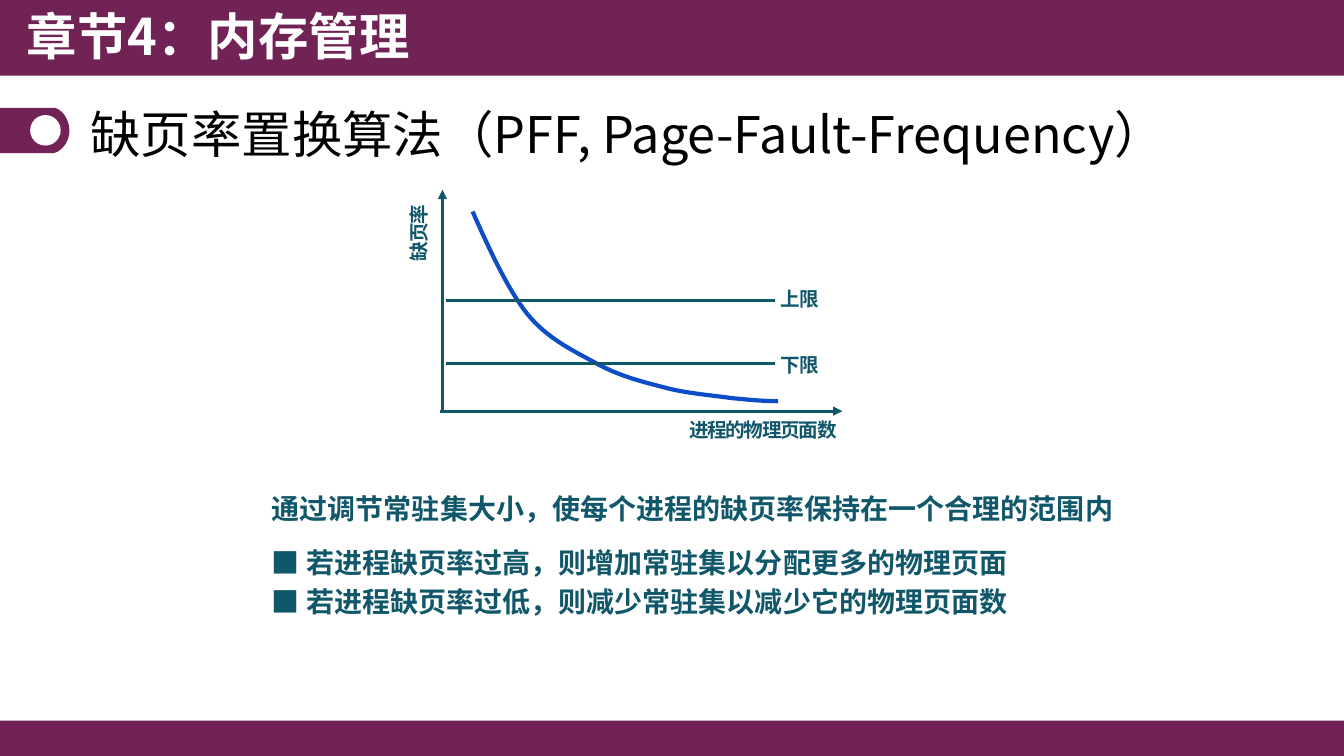
from lxml.etree import SubElement
from pptx import Presentation
from pptx.dml.color import RGBColor
from pptx.enum.shapes import MSO_CONNECTOR, MSO_SHAPE
from pptx.enum.text import MSO_ANCHOR as ANCHOR, MSO_AUTO_SIZE as AUTO_SIZE
from pptx.oxml.ns import qn
from pptx.util import Cm, Pt

PLUM = RGBColor(0x71, 0x23, 0x55)
TEAL = RGBColor(0x11, 0x57, 0x6A)
BLUE = RGBColor(0x0E, 0x4D, 0xC8)
WHITE = RGBColor(0xFF, 0xFF, 0xFF)
BLACK = RGBColor(0, 0, 0)
STEPS = 16


def bezier_points(start, segments):
    """Points along a chain of cubic curves, each given as two controls and an end."""
    points = [start]
    for c1, c2, end in segments:
        for step in range(1, STEPS + 1):
            t = step / STEPS
            weights = ((1 - t) ** 3, 3 * t * (1 - t) ** 2, 3 * t * t * (1 - t), t ** 3)
            points.append(tuple(sum(w * p[axis] for w, p in zip(weights, (start, c1, c2, end)))
                                for axis in (0, 1)))
        start = end
    return points


class SlideBuilder:
    def __init__(self, slide, font="Noto Sans CJK SC"):
        self.shapes = slide.shapes
        self.font = font

    def block(self, kind, left, top, width, height, color):
        block = self.shapes.add_shape(kind, Cm(left), Cm(top), Cm(width), Cm(height))
        self.paint(block, color)

    def paint(self, shape, color):
        shape.shadow.inherit = False
        shape.fill.solid()
        shape.fill.fore_color.rgb = color
        shape.line.fill.background()

    def outline(self, points, closed):
        builder = self.shapes.build_freeform(*(Cm(v) for v in points[0]))
        builder.add_line_segments([(Cm(x), Cm(y)) for x, y in points[1:]], close=closed)
        return builder.convert_to_shape()

    def area(self, points, color):
        self.paint(self.outline(points, True), color)

    def curve(self, points, color, weight):
        curve = self.outline(points, False)
        curve.shadow.inherit = False
        curve.fill.background()
        curve.line.color.rgb = color
        curve.line.width = Pt(weight)

    def line(self, start, end, arrow=False):
        line = self.shapes.add_connector(MSO_CONNECTOR.STRAIGHT, *(Cm(v) for v in start + end))
        line.line.color.rgb = TEAL
        line.line.width = Pt(2.25)
        if arrow:
            SubElement(line.line._get_or_add_ln(), qn("a:tailEnd"), type="triangle")
        SubElement(line._element.spPr, qn("a:effectLst"))

    def text(self, words, left, top, width, height, size, color=TEAL, bold=True,
             font=None, anchor=ANCHOR.TOP, fit=AUTO_SIZE.SHAPE_TO_FIT_TEXT, wrap=True):
        box = self.shapes.add_textbox(Cm(left), Cm(top), Cm(width), Cm(height))
        frame = box.text_frame
        frame.text = words
        frame.word_wrap = wrap
        frame.auto_size = fit
        frame.vertical_anchor = anchor
        run = frame.paragraphs[0].runs[0]
        run.font.size = Pt(size)
        run.font.bold = bold
        run.font.color.rgb = color
        run.font.name = font or self.font
        SubElement(run.font._element, qn("a:ea"), typeface=font or self.font)
        return frame

    def label(self, words, left, top, width, height):
        frame = self.text(words, left, top, width, height, 14, wrap=False)
        frame.paragraphs[0].runs[0].font._element.set("spc", "-100")
        return frame


def main():
    deck = Presentation()
    deck.slide_width, deck.slide_height = Cm(33.87), Cm(19.05)
    page = SlideBuilder(deck.slides.add_slide(deck.slide_layouts[6]))

    # Bands and heading marker
    page.block(MSO_SHAPE.RECTANGLE, 0, 18.16, 33.87, 0.91, PLUM)
    page.block(MSO_SHAPE.RECTANGLE, -0.08, 0, 33.95, 1.91, PLUM)
    marker_end = bezier_points((1.35, 2.72), [((1.52, 2.72), (1.75, 2.97), (1.75, 3.3)),
                                              ((1.75, 3.61), (1.5, 3.86), (1.32, 3.86))])
    page.area([(0, 2.72), *marker_end, (0, 3.86)], PLUM)
    page.block(MSO_SHAPE.OVAL, 0.76, 2.9, 0.77, 0.77, WHITE)

    # Chapter and heading
    page.text("章节4：内存管理", 0.43, 0, 16.94, 1.96, 36, WHITE, fit=AUTO_SIZE.NONE)
    page.text("缺页率置换算法（PFF, Page-Fault-Frequency）", 2.03, 2.41, 29.29, 1.91, 36,
              BLACK, bold=False, anchor=ANCHOR.MIDDLE, fit=AUTO_SIZE.NONE)

    # Axes and fault-rate curve
    page.line((11.1, 10.36), (21.23, 10.36), arrow=True)
    page.line((11.15, 10.36), (11.15, 4.78), arrow=True)
    fault_rate = bezier_points((11.91, 5.33), [
        ((12.34, 6.3), (12.78, 7.26), (13.28, 7.9)),
        ((13.79, 8.53), (14.4, 8.81), (14.96, 9.12)),
        ((15.54, 9.45), (16.1, 9.6), (16.69, 9.75)),
        ((17.25, 9.91), (17.93, 9.96), (18.42, 10.03)),
        ((18.9, 10.08), (19.25, 10.11), (19.61, 10.11))])
    page.curve(fault_rate, BLUE, 3)
    pages_axis = page.label("进程的物理页面数", 17.12, 10.54, 4.29, 0.74)
    pages_axis.paragraphs[0].line_spacing = Pt(13)
    rate_axis = page.label("缺页率", 10.13, 5.18, 1.12, 1.65)
    rate_axis._txBody.bodyPr.set("vert", "vert270")

    # Upper and lower limits
    for limit, line_y, label_top in (("上限", 7.58, 7.11), ("下限", 9.17, 8.76)):
        page.line((11.23, line_y), (19.53, line_y))
        page.label(limit, 19.43, label_top, 1.47, 0.86)

    # Explanation
    page.text("通过调节常驻集大小，使每个进程的缺页率保持在一个合理的范围内",
              6.6, 12.27, 23.52, 1.12, 20)
    rules = ("若进程缺页率过高，则增加常驻集以分配更多的物理页面",
             "若进程缺页率过低，则减少常驻集以减少它的物理页面数")
    for row, rule in enumerate(rules):
        top = 13.61 + row
        page.text("■", 6.6, top, 1.19, 1.12, 20, font="Noto Sans CJK JP")
        page.text(rule, 7.47, top, 18.19, 1.12, 20)

    deck.save("out.pptx")


if __name__ == "__main__":
    main()
